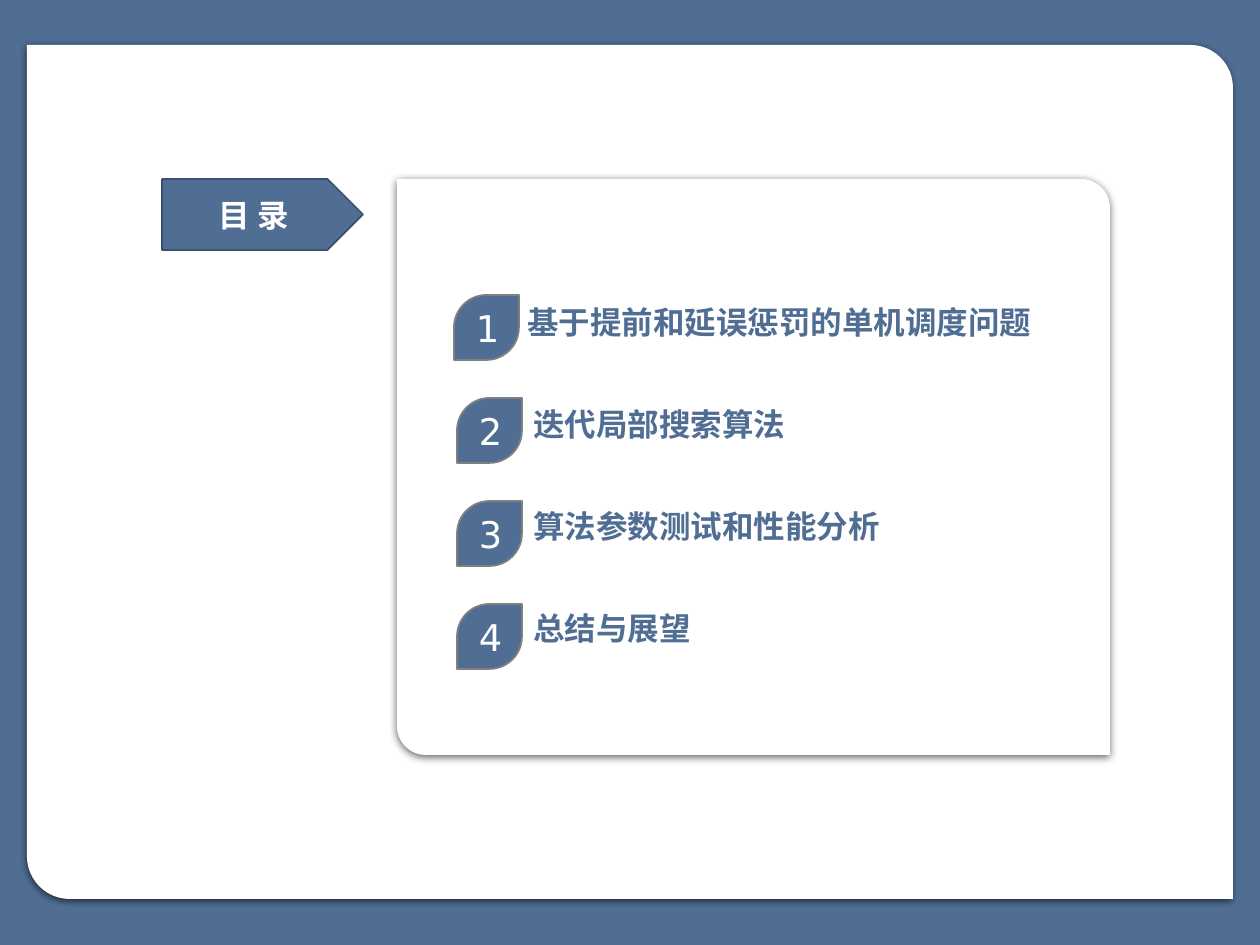
import lxml.etree
import pptx
import pptx.dml.color
import pptx.enum.lang
import pptx.enum.shapes
import pptx.enum.text
import pptx.oxml.ns
import pptx.util

PX = pptx.util.Inches(1) / 126
FONT = "DejaVu Sans"
COLORS = {
    "blue": "506E94",
    "navy": "3B516D",
    "gray": "808080",
    "white": "FFFFFF",
    "black": "000000",
}
SHAPES = pptx.enum.shapes.MSO_SHAPE
TOPICS = [
    "基于提前和延误惩罚的单机调度问题",
    "迭代局部搜索算法",
    "算法参数测试和性能分析",
    "总结与展望",
]


def color(name):
    return pptx.dml.color.RGBColor.from_string(COLORS[name])


def emu(*lengths):
    return [round(length * PX) for length in lengths]


def add_block(slide, box, kind, fill, border=None):
    block = slide.shapes.add_shape(kind, *emu(*box))
    block.shadow.inherit = False
    block.fill.solid()
    block.fill.fore_color.rgb = color(fill)
    if border:
        block.line.color.rgb = color(border)
        block.line.width = pptx.util.Pt(1)
    else:
        block.line.fill.background()
    return block


def write(holder, wording, size, ink, bold=False, centered=False):
    frame = holder.text_frame
    frame.word_wrap = True
    paragraph = frame.paragraphs[0]
    paragraph.text = wording
    if centered:
        frame.vertical_anchor = pptx.enum.text.MSO_ANCHOR.MIDDLE
        paragraph.alignment = pptx.enum.text.PP_ALIGN.CENTER
    font = paragraph.runs[0].font
    font.name = FONT
    font.size = pptx.util.Pt(size)
    font.bold = bold
    font.color.rgb = color(ink)
    font.language_id = pptx.enum.lang.MSO_LANGUAGE_ID.SIMPLIFIED_CHINESE


def add_card(slide, box):
    card = add_block(slide, box, SHAPES.ROUND_2_DIAG_RECTANGLE, "white")
    card.adjustments[0] = 0
    card.adjustments[1] = 0.05
    qn = pptx.oxml.ns.qn
    effects = card._element.spPr.find(qn("a:effectLst"))
    shadow = lxml.etree.SubElement(
        effects, qn("a:outerShdw"), blurRad="57150", dist="19050",
        dir="5400000", algn="ctr", rotWithShape="0")
    tint = lxml.etree.SubElement(shadow, qn("a:srgbClr"), val=COLORS["black"])
    lxml.etree.SubElement(tint, qn("a:alpha"), val="63000")


def add_heading(slide, box):
    heading = add_block(slide, box, SHAPES.PENTAGON, "blue", "navy")
    write(heading, "目 录", 18, "white", bold=True, centered=True)


def add_contents(slide, box):
    left, top, width, height = box
    add_card(slide, box)
    for index, topic in enumerate(TOPICS):
        indent = 3 if index else 0
        label = slide.shapes.add_textbox(
            *emu(left + 118 + 2 * indent, top + 118 + 102 * index, 534, 50))
        write(label, topic, 18, "blue", bold=True)

        marker_box = (left + 57 + indent, top + 116 + 103 * index, 65, 65)
        marker = add_block(
            slide, marker_box, SHAPES.ROUND_2_DIAG_RECTANGLE, "blue", "gray")
        marker.adjustments[0] = 0.5
        marker.adjustments[1] = 0
        write(marker, str(index + 1), 21, "white", centered=True)


def main():
    deck = pptx.Presentation()
    deck.slide_width, deck.slide_height = emu(1260, 945)
    slide = deck.slides.add_slide(deck.slide_layouts[6])
    slide.background.fill.solid()
    slide.background.fill.fore_color.rgb = color("blue")
    add_card(slide, (27, 45, 1206, 854))
    add_contents(slide, (397, 179, 713, 576))
    add_heading(slide, (162, 179, 201, 71))
    deck.save("out.pptx")


if __name__ == "__main__":
    main()
